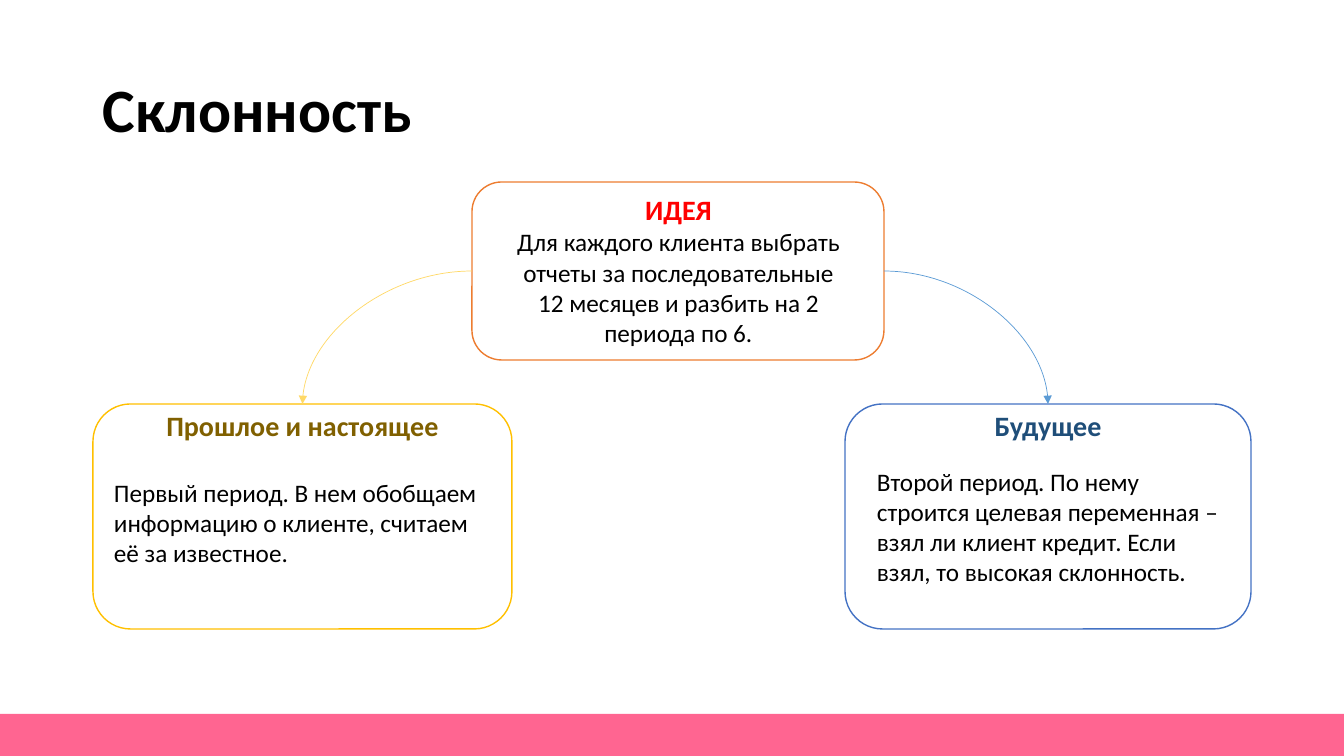
from lxml import etree
from pptx import Presentation
from pptx import util as u
from pptx.dml.color import RGBColor
from pptx.enum import shapes, text
from pptx.oxml.ns import qn

FONT = "Calibri"
HEX = {
    "black": "000000", "white": "FFFFFF", "pink": "FF6591", "red": "FF0000",
    "orange": "ED7D31", "gold": "FFC000", "sand": "FFD966", "brown": "806000",
    "blue": "4472C4", "sky": "5B9BD5", "navy": "1F4E79",
}

# Text lines: (words, points, colour, bold)
TITLE = ("Склонность", 44, "black", True)
IDEA = [
    ("ИДЕЯ", 20, "red", True),
    ("Для каждого клиента выбрать отчеты за последовательные 12 месяцев "
     "и разбить на 2 периода по 6.", 18, "black", False),
]
# Periods: box, edge, arrow, site on the idea box, heading, body, body place
PERIODS = [
    ((93, 404, 419, 225), "gold", "sand", 1,
     ("Прошлое и настоящее", 20, "brown", True),
     ("Первый период. В нем обобщаем информацию о клиенте, считаем её за "
      "известное.", 18, "black", False),
     (104, 472, 396, 102)),
    ((845, 404, 406, 225), "blue", "sky", 3,
     ("Будущее", 20, "navy", True),
     ("Второй период. По нему строится целевая переменная – взял ли клиент "
      "кредит. Если взял, то высокая склонность.", 18, "black", False),
     (867, 461, 366, 132)),
]

WIDE, HIGH = 1344, 756
BAR = 42
HEAD = 44
LEFT, CENTER = text.PP_ALIGN.LEFT, text.PP_ALIGN.CENTER
KIND = shapes.MSO_SHAPE


def px(n):
    return round(n * 914400 / 100.8)


def ink(name):
    return RGBColor.from_string(HEX[name])


def add_box(kind, place, fill, edge=None):
    box = slide.shapes.add_shape(kind, *map(px, place))
    box.shadow.inherit = False
    box.fill.solid()
    box.fill.fore_color.rgb = ink(fill)
    if edge:
        box.line.color.rgb = ink(edge)
        box.line.width = u.Pt(1)
    else:
        box.line.fill.background()
    return box


def add_text(place, lines, align=LEFT):
    frame = slide.shapes.add_textbox(*map(px, place)).text_frame
    frame.word_wrap = True
    for i, (words, size, color, bold) in enumerate(lines):
        para = frame.add_paragraph() if i else frame.paragraphs[0]
        para.text = words
        para.alignment = align
        font = para.font
        font.name, font.size, font.bold = FONT, u.Pt(size), bold
        font.color.rgb = ink(color)
    return frame


def add_arrow(start, site, end, color):
    """Join a side of start to the top of end with a quarter curve."""
    arrow = slide.shapes.add_connector(shapes.MSO_CONNECTOR.CURVE, 0, 0, 0, 0)
    arrow.begin_connect(start, site)
    arrow.end_connect(end, 0)
    arrow.line.color.rgb = ink(color)
    arrow.line.width = u.Pt(0.5)
    props = arrow._element.spPr
    props.find(qn("a:prstGeom")).set("prst", "curvedConnector2")
    etree.SubElement(arrow.line._get_or_add_ln(), qn("a:tailEnd"), type="triangle")
    etree.SubElement(props, qn("a:effectLst"))


deck = Presentation()
deck.slide_width, deck.slide_height = px(WIDE), px(HIGH)
slide = deck.slides.add_slide(deck.slide_layouts[6])

title = add_text((93, 40, 1159, 146), [TITLE])
title.vertical_anchor = text.MSO_ANCHOR.MIDDLE
title.paragraphs[0].line_spacing = 0.9

add_box(KIND.RECTANGLE, (0, HIGH - BAR, WIDE, BAR), "pink")
idea = add_box(KIND.ROUNDED_RECTANGLE, (472, 182, 412, 178), "white", "orange")
add_text((500, 188, 357, 166), IDEA, CENTER)

for place, edge, color, site, head, body, spot in PERIODS:
    box = add_box(KIND.ROUNDED_RECTANGLE, place, "white", edge)
    add_text((*place[:3], HEAD), [head], CENTER)
    add_text(spot, [body])
    add_arrow(idea, site, box, color)

deck.save("out.pptx")
